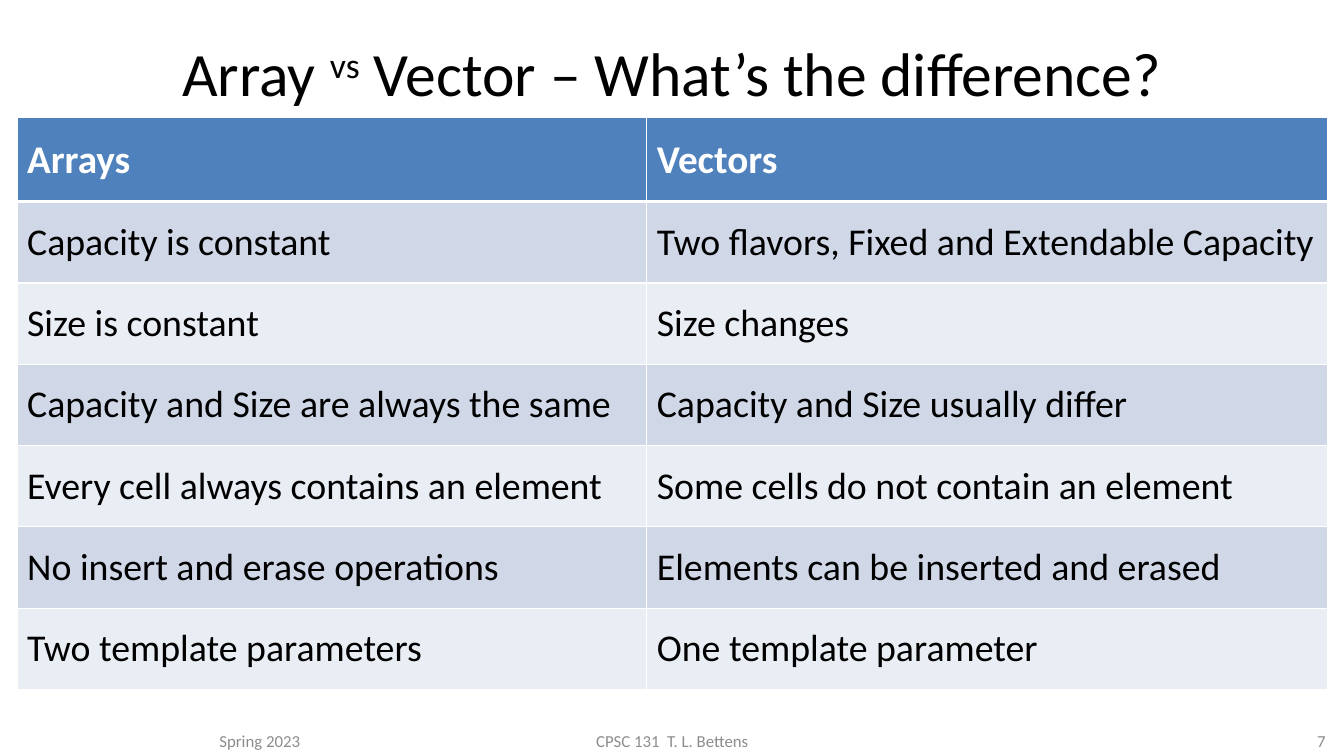
"""Build a slide comparing arrays and vectors in a two-column table."""
import pptx
import pptx.dml.color
import pptx.enum.text
import pptx.oxml
import pptx.oxml.ns
import pptx.util

Cm = pptx.util.Cm
Pt = pptx.util.Pt
ALIGN = pptx.enum.text.PP_ALIGN
ANCHOR = pptx.enum.text.MSO_ANCHOR

COLORS = {
    "header": "4F81BD",
    "band dark": "D0D8E8",
    "band light": "E9EDF4",
    "white": "FFFFFF",
    "black": "000000",
    "footer": "8C8C8C",
}


def add_run(paragraph, text, size, color, bold=False):
    """Add a formatted run to a paragraph."""
    run = paragraph.add_run()
    run.text = text
    run.font.name = "Calibri"
    run.font.size = Pt(size)
    run.font.bold = bold
    run.font.color.rgb = pptx.dml.color.RGBColor.from_string(COLORS[color])
    return run


def add_border(cell, side, width):
    """Add a white border to one side of a cell."""
    cell._tc.get_or_add_tcPr().append(pptx.oxml.parse_xml(
        f'<a:{side} {pptx.oxml.ns.nsdecls("a")} w="{Pt(width)}"><a:solidFill>'
        f'<a:srgbClr val="{COLORS["white"]}"/></a:solidFill></a:{side}>'))


presentation = pptx.Presentation()
presentation.slide_width = Cm(33.87)
presentation.slide_height = Cm(19.05)
slide = presentation.slides.add_slide(presentation.slide_layouts[5])

title = slide.shapes.title
title.left, title.top, title.width, title.height = Cm(0.43), Cm(0.76), Cm(33.02), Cm(3.18)
title.text_frame.vertical_anchor = ANCHOR.TOP
title_paragraph = title.text_frame.paragraphs[0]
title_paragraph.alignment = ALIGN.CENTER
add_run(title_paragraph, "Array ", 44, "black")
versus = add_run(title_paragraph, "vs", 44, "black")
versus._r.get_or_add_rPr().set("baseline", "30000")
add_run(title_paragraph, " Vector – What’s the difference?", 44, "black")

comparison = [
    ("Arrays", "Vectors"),
    ("Capacity is constant", "Two flavors, Fixed and Extendable Capacity"),
    ("Size is constant", "Size changes"),
    ("Capacity and Size are always the same", "Capacity and Size usually differ"),
    ("Every cell always contains an element", "Some cells do not contain an element"),
    ("No insert and erase operations", "Elements can be inserted and erased"),
    ("Two template parameters", "One template parameter"),
]
table = slide.shapes.add_table(
    len(comparison), 2, Cm(0.43), Cm(2.97), Cm(33.02), Cm(14.41)).table
table.columns[0].width = Cm(15.87)
table.columns[1].width = Cm(17.15)

for row_index, texts in enumerate(comparison):
    is_header = row_index == 0
    table.rows[row_index].height = Cm(2.11 if is_header else 2.05)
    if is_header:
        fill, size, color = "header", 28, "white"
    else:
        fill = "band dark" if row_index % 2 else "band light"
        size, color = 27, "black"
    for column_index, text in enumerate(texts):
        cell = table.cell(row_index, column_index)
        cell.vertical_anchor = ANCHOR.MIDDLE
        add_run(cell.text_frame.paragraphs[0], text, size, color, is_header)
        for side in ("lnL", "lnR", "lnT", "lnB"):
            heavy = (side == "lnB" and is_header) or (side == "lnT" and row_index == 1)
            add_border(cell, side, 3 if heavy else 1)
        cell.fill.solid()
        cell.fill.fore_color.rgb = pptx.dml.color.RGBColor.from_string(COLORS[fill])

footers = [
    ("Spring 2023", 5.28, 5.92, ALIGN.LEFT),
    ("CPSC 131  T. L. Bettens", 11.23, 11.43, ALIGN.CENTER),
    ("7", 26.04, 7.62, ALIGN.RIGHT),
]
for text, left, width, alignment in footers:
    footer = slide.shapes.add_textbox(Cm(left), Cm(17.65), Cm(width), Cm(1.4))
    footer.text_frame.word_wrap = True
    footer.text_frame.vertical_anchor = ANCHOR.BOTTOM
    paragraph = footer.text_frame.paragraphs[0]
    paragraph.alignment = alignment
    add_run(paragraph, text, 12, "footer")

presentation.save("out.pptx")
